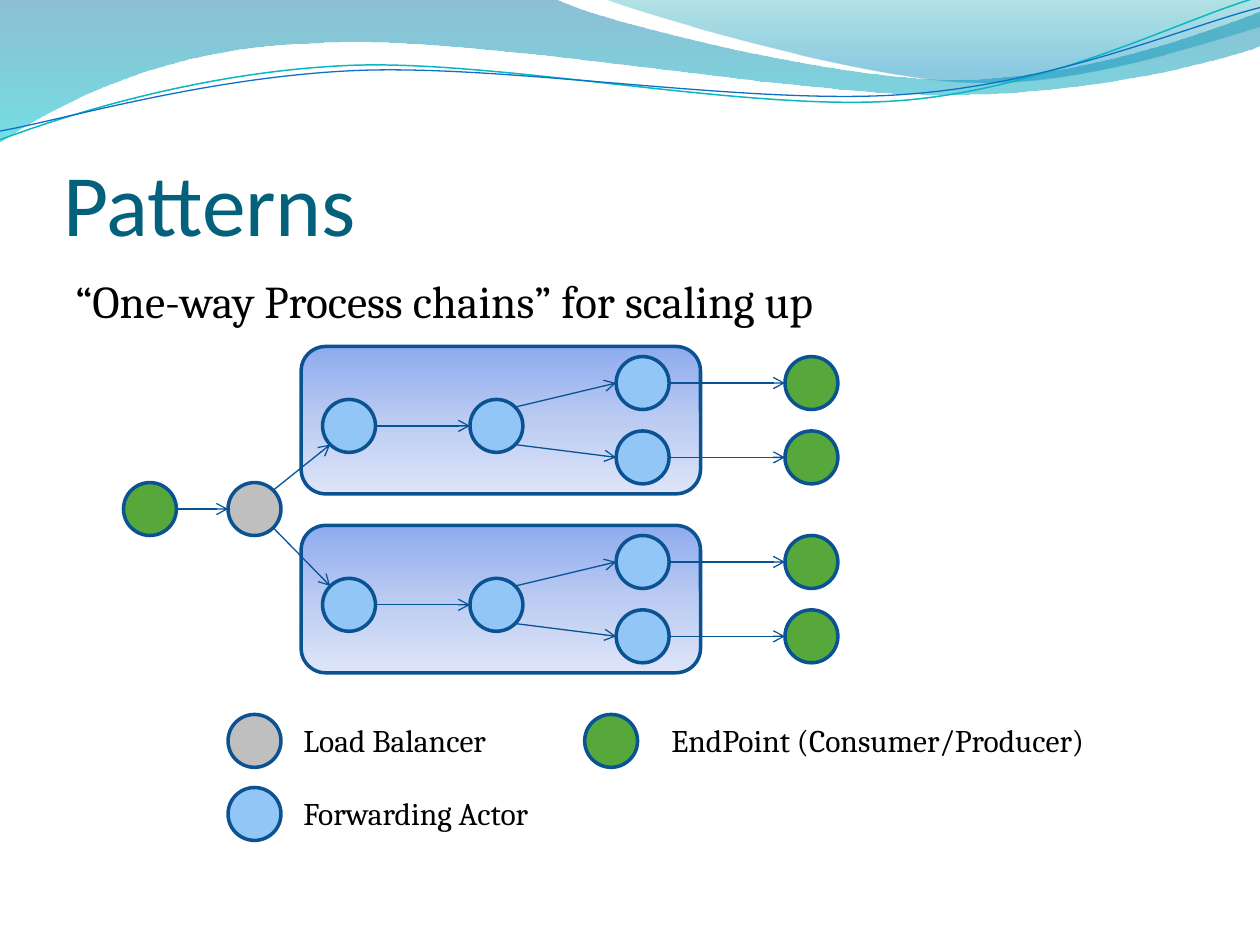
"""Build the Patterns slide: one-way process chains behind a load balancer."""
from lxml import etree
from pptx import Presentation, util as u
from pptx.dml.color import RGBColor
from pptx.enum import shapes, text
from pptx.oxml import ns

TEAL = RGBColor(0x04, 0x61, 0x7B)
BLACK = RGBColor(0, 0, 0)
OUTLINE = RGBColor(0x0B, 0x52, 0x92)
ARROW = RGBColor(0x09, 0x52, 0x95)
ACTOR = RGBColor(0x91, 0xC6, 0xF7)
BALANCER = RGBColor(0xBF, 0xBF, 0xBF)
ENDPOINT = RGBColor(0x55, 0xA8, 0x39)
AQUA = RGBColor(0x0A, 0xB8, 0xBF)
BLUE = RGBColor(0x0F, 0x6F, 0xC6)

BANDS = [
    ([(0, 0), [(4.4, -0.01)], [(4.76, 0.17), (6.64, 0.63), (7.58, 0.63)],
      [(8.53, 0.63), (9.58, 0.26), (10, 0.09)], [(10.01, 0.36)],
      [(9.83, 0.44), (8.7, 0.76), (7.46, 0.75)], [(6.22, 0.75), (3.82, 0.28), (2.57, 0.34)],
      [(1.29, 0.36), (0.46, 0.83), (-0.01, 1.13)]],
     [(0, "0074A1", 45), (100, "00C6CF", 55)]),
    ([(4.79, -0.01), [(5.09, 0.11), (6.82, 0.62), (7.69, 0.65)],
      [(8.56, 0.69), (9.61, 0.32), (10, 0.21)], [(10, 0)]],
     [(0, "00A1A9", 30), (80, "008BBF", 45)]),
]
WAVES = [
    ([(0, 1.11), [(0.48, 0.93), (1.58, 0.57), (2.77, 0.52)],
      [(3.95, 0.47), (5.93, 0.89), (7.13, 0.8)], [(8.33, 0.71), (9.38, 0.15), (9.98, -0.02)]],
     AQUA, 0.85),
    ([(0, 1.04), [(0.47, 0.96), (1.64, 0.61), (2.83, 0.56)],
      [(4.03, 0.51), (5.97, 0.84), (7.17, 0.75)], [(8.36, 0.67), (9.41, 0.21), (10, 0.06)]],
     BLUE, 0.75),
]
PANEL_STOPS = [(0, "8EABEE", 100), (50, "BBCBF2", 100), (100, "DEE5F8", 100)]
PANEL_LEFT, PANEL_TOPS, PANEL_SIZE = 2.39, (2.75, 4.17), (3.17, 1.17)
SIZE = 0.42
COLUMNS = {"source": 0.98, "balancer": 1.81, "first": 2.56, "second": 3.73,
           "last": 4.89, "target": 6.23}
MIDDLE_ROW, BRANCH_ROWS, ENTRY_TOP = 0.42, (0.08, 0.67), 3.83
LEGEND = [(1.81, 5.67, BALANCER, 2.31, 1.75, "Load Balancer"),
          (1.81, 6.25, ACTOR, 2.31, 2.11, "Forwarding Actor"),
          (4.64, 5.67, ENDPOINT, 5.23, 3.69, "EndPoint (Consumer/Producer)")]
RIGHT, LEFT = (1, 0), (-1, 0)
UP_RIGHT, DOWN_RIGHT, UP_LEFT, DOWN_LEFT = (
    (x * 0.71, y * 0.71) for x, y in ((1, -1), (1, 1), (-1, -1), (-1, 1)))

deck = Presentation()
deck.slide_width, deck.slide_height = u.Inches(10), u.Inches(7.5)
page = deck.slides.add_slide(deck.slide_layouts[5])


def inches(*values):
    return [u.Inches(value) for value in values]


def add_outline(pieces, close):
    """Draw straight pieces of one point and cubic pieces of three."""
    builder = page.shapes.build_freeform(*inches(*pieces[0]))
    builder.add_line_segments([inches(*point) for piece in pieces[1:] for point in piece],
                              close=close)
    outline = builder.convert_to_shape()
    segments = iter(list(outline._element.iter(ns.qn("a:lnTo"))))
    for piece in pieces[1:]:
        start, *others = [next(segments) for _ in piece]
        if others:
            start.tag = ns.qn("a:cubicBezTo")
            for other in others:
                start.append(other[0])
                other.getparent().remove(other)
    outline.shadow.inherit = False
    outline.fill.background()
    return outline


def fill_gradient(shape, stops):
    shape.fill.background()
    blank = shape._element.spPr.find(ns.qn("a:noFill"))
    gradient = etree.Element(ns.qn("a:gradFill"), rotWithShape="1")
    stop_list = etree.SubElement(gradient, ns.qn("a:gsLst"))
    for position, colour, opacity in stops:
        stop = etree.SubElement(stop_list, ns.qn("a:gs"), pos=str(position * 1000))
        tone = etree.SubElement(stop, ns.qn("a:srgbClr"), val=colour)
        if opacity < 100:
            etree.SubElement(tone, ns.qn("a:alpha"), val=str(opacity * 1000))
    etree.SubElement(gradient, ns.qn("a:lin"), ang="5400000", scaled="0")
    blank.getparent().replace(blank, gradient)


def set_line(shape, colour, width):
    shape.line.color.rgb = colour
    shape.line.width = u.Pt(width)


def add_node(left, top, colour):
    node = page.shapes.add_shape(shapes.MSO_SHAPE.OVAL, *inches(left, top, SIZE, SIZE))
    node.shadow.inherit = False
    node.fill.solid()
    node.fill.fore_color.rgb = colour
    set_line(node, OUTLINE, 2)
    return left + SIZE / 2, top + SIZE / 2


def add_arrow(start, end, leave=RIGHT, enter=LEFT):
    ends = [centre[axis] + side[axis] * SIZE / 2
            for centre, side in ((start, leave), (end, enter)) for axis in (0, 1)]
    arrow = page.shapes.add_connector(shapes.MSO_CONNECTOR.STRAIGHT, *inches(*ends))
    set_line(arrow, ARROW, 0.75)
    etree.SubElement(arrow.line._get_or_add_ln(), ns.qn("a:tailEnd"), type="arrow")
    etree.SubElement(arrow._element.spPr, ns.qn("a:effectLst"))


def write(frame, words, size, font="Cambria", colour=BLACK, wrap=True):
    frame.word_wrap = wrap
    para = frame.paragraphs[0]
    para.alignment = text.PP_ALIGN.LEFT
    span = para.add_run()
    span.text = words
    span.font.size, span.font.name = u.Pt(size), font
    span.font.color.rgb = colour


for pieces, stops in BANDS:
    band = add_outline(pieces, True)
    fill_gradient(band, stops)
    band.line.fill.background()
for pieces, colour, width in WAVES:
    set_line(add_outline(pieces, False), colour, width)

title = page.shapes.title
title.left, title.top, title.width, title.height = inches(0.5, 0.77, 9, 1.25)
frame = title.text_frame
frame.vertical_anchor = text.MSO_ANCHOR.BOTTOM
frame.margin_left, frame.margin_top, frame.margin_right, frame.margin_bottom = inches(0, 0.05, 0, 0)
write(frame, "Patterns", 50, "Calibri", TEAL)

body = page.shapes.add_textbox(*inches(0.5, 2.12, 9, 5.05))
write(body.text_frame, "“One-way Process chains” for scaling up", 26)

for top in PANEL_TOPS:
    panel = page.shapes.add_shape(shapes.MSO_SHAPE.ROUNDED_RECTANGLE,
                                  *inches(PANEL_LEFT, top, *PANEL_SIZE))
    panel.shadow.inherit = False
    fill_gradient(panel, PANEL_STOPS)
    set_line(panel, OUTLINE, 2)

source = add_node(COLUMNS["source"], ENTRY_TOP, ENDPOINT)
balancer = add_node(COLUMNS["balancer"], ENTRY_TOP, BALANCER)
add_arrow(source, balancer)
for top, leave, enter in zip(PANEL_TOPS, (UP_RIGHT, DOWN_RIGHT), (DOWN_LEFT, UP_LEFT)):
    first, second = (add_node(COLUMNS[name], top + MIDDLE_ROW, ACTOR)
                     for name in ("first", "second"))
    add_arrow(balancer, first, leave, enter)
    add_arrow(first, second)
    for row, branch in zip(BRANCH_ROWS, (UP_RIGHT, DOWN_RIGHT)):
        last = add_node(COLUMNS["last"], top + row, ACTOR)
        target = add_node(COLUMNS["target"], top + row, ENDPOINT)
        add_arrow(second, last, branch)
        add_arrow(last, target)

for left, top, colour, label_left, width, words in LEGEND:
    add_node(left, top, colour)
    label = page.shapes.add_textbox(*inches(label_left, top, width, 0.4))
    write(label.text_frame, words, 18, wrap=False)

deck.save("out.pptx")
